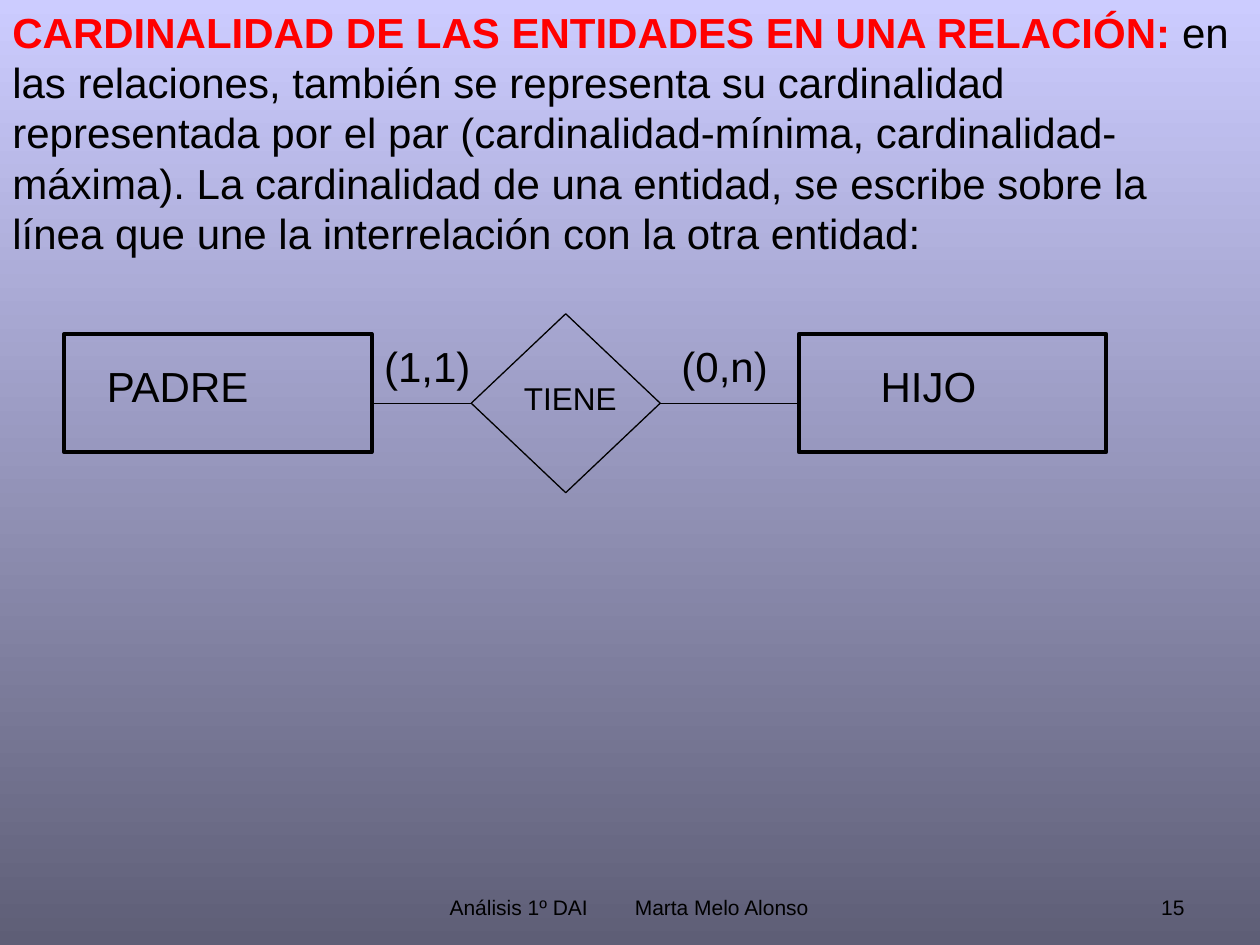
import pptx
import pptx.dml.color
import pptx.enum.shapes
import pptx.enum.text
import pptx.util
from lxml import etree

COLUMNS, ROWS = 100, 75
SLIDE_WIDTH, SLIDE_HEIGHT = pptx.util.Inches(10), pptx.util.Inches(7.5)
FONT = "Arial"
COLORS = {"top": "CCCCFF", "bottom": "5E5E76", "text": "000000", "heading": "FF0000"}

ENTITY_TOP, ENTITY_WIDTH, ENTITY_HEIGHT = 26.5, 24.4, 9.4
FATHER_LEFT, SON_LEFT = 5.1, 63.4
RELATION_LEFT, RELATION_TOP, RELATION_WIDTH, RELATION_HEIGHT = 37.4, 24.9, 15, 14.2
LINE_ROW = RELATION_TOP + RELATION_HEIGHT / 2

SHAPES = pptx.enum.shapes.MSO_SHAPE
ALIGN = pptx.enum.text.PP_ALIGN
ANCHOR = pptx.enum.text.MSO_ANCHOR


def across(columns):
    return round(columns * SLIDE_WIDTH / COLUMNS)


def down(rows):
    return round(rows * SLIDE_HEIGHT / ROWS)


def box(left, top, width, height):
    return across(left), down(top), across(width), down(height)


def color(name):
    return pptx.dml.color.RGBColor.from_string(COLORS[name])


def paint_background(slide):
    fill = slide.background.fill
    fill.gradient()
    fill.gradient_angle = 270
    for stop, name, position in zip(fill.gradient_stops, ("top", "bottom"), (0, 1)):
        stop.color.rgb = color(name)
        stop.position = position


def add_text(slide, place, runs, size, align=ALIGN.LEFT, anchor=ANCHOR.TOP):
    """Add a wrapped text box; runs are (text, color name, bold) triples."""
    shape = slide.shapes.add_textbox(*box(*place))
    frame = shape.text_frame
    frame.word_wrap = True
    frame.vertical_anchor = anchor
    paragraph = frame.paragraphs[0]
    paragraph.alignment = align
    for text, color_name, bold in runs:
        run = paragraph.add_run()
        run.text = text
        run.font.name = FONT
        run.font.size = pptx.util.Pt(size)
        run.font.bold = bold
        run.font.color.rgb = color(color_name)
    return shape


def add_label(slide, place, text, size=24):
    shape = add_text(slide, place, [(text, "text", False)], size)
    shape.text_frame.auto_size = pptx.enum.text.MSO_AUTO_SIZE.SHAPE_TO_FIT_TEXT


def add_footer(slide, place, text, align=ALIGN.LEFT):
    return add_text(slide, place, [(text, "text", False)], 12, align, ANCHOR.BOTTOM)


def add_tab_stop(shape, columns):
    properties = shape.text_frame.paragraphs[0]._p.get_or_add_pPr()
    tab_list = etree.SubElement(properties, pptx.oxml.ns.qn("a:tabLst"))
    etree.SubElement(tab_list, pptx.oxml.ns.qn("a:tab"), pos=str(across(columns)), algn="l")


def add_outline(slide, kind, place, line_width):
    shape = slide.shapes.add_shape(kind, *box(*place))
    shape.shadow.inherit = False
    shape.fill.background()
    shape.line.color.rgb = color("text")
    shape.line.width = pptx.util.Pt(line_width)
    return shape


def add_link(slide, entity_edge, relation, side):
    """Draw a level line from an entity's edge to a side of the relation."""
    start, row = across(entity_edge), down(LINE_ROW)
    connector = slide.shapes.add_connector(
        pptx.enum.shapes.MSO_CONNECTOR.STRAIGHT, start, row, start, row)
    connector.end_connect(relation, side)
    connector.line.color.rgb = color("text")
    connector.line.width = pptx.util.Pt(0.75)
    etree.SubElement(connector._element.spPr, pptx.oxml.ns.qn("a:effectLst"))


def add_diagram(slide):
    for left in (FATHER_LEFT, SON_LEFT):
        place = (left, ENTITY_TOP, ENTITY_WIDTH, ENTITY_HEIGHT)
        add_outline(slide, SHAPES.RECTANGLE, place, 2.25)
    place = (RELATION_LEFT, RELATION_TOP, RELATION_WIDTH, RELATION_HEIGHT)
    relation = add_outline(slide, SHAPES.DIAMOND, place, 0.75)
    add_link(slide, FATHER_LEFT + ENTITY_WIDTH, relation, 1)
    add_link(slide, SON_LEFT, relation, 3)

    add_label(slide, (40.6, 29.6, 14.2, 4), "TIENE", 18)
    add_label(slide, (7.5, 28.1, 23.6, 5), "PADRE")
    add_label(slide, (68.9, 28.1, 22.1, 5), "HIJO")
    for left, cardinality in ((29.5, "(1,1)"), (53.1, "(0,n)")):
        add_label(slide, (left, ENTITY_TOP, 10.2, 5), cardinality)


def main():
    presentation = pptx.Presentation()
    presentation.slide_width, presentation.slide_height = SLIDE_WIDTH, SLIDE_HEIGHT
    slide = presentation.slides.add_slide(presentation.slide_layouts[6])
    paint_background(slide)

    add_text(slide, (0, 0, COLUMNS, 21), [
        ("CARDINALIDAD DE LAS ENTIDADES EN UNA RELACIÓN: ", "heading", True),
        ("en las relaciones, también se representa su cardinalidad representada "
         "por el par (cardinalidad-mínima, cardinalidad-máxima). La cardinalidad "
         "de una entidad, se escribe sobre la línea que une la interrelación con "
         "la otra entidad:", "text", False),
    ], 24)
    add_diagram(slide)

    credit = add_footer(slide, (34.7, 68.3, 31.7, 5.2), "Análisis 1º DAI\tMarta Melo Alonso")
    add_tab_stop(credit, 14.7)
    add_footer(slide, (71.7, 68.3, 23.3, 5.2), "15", ALIGN.RIGHT)
    presentation.save("out.pptx")


if __name__ == "__main__":
    main()
